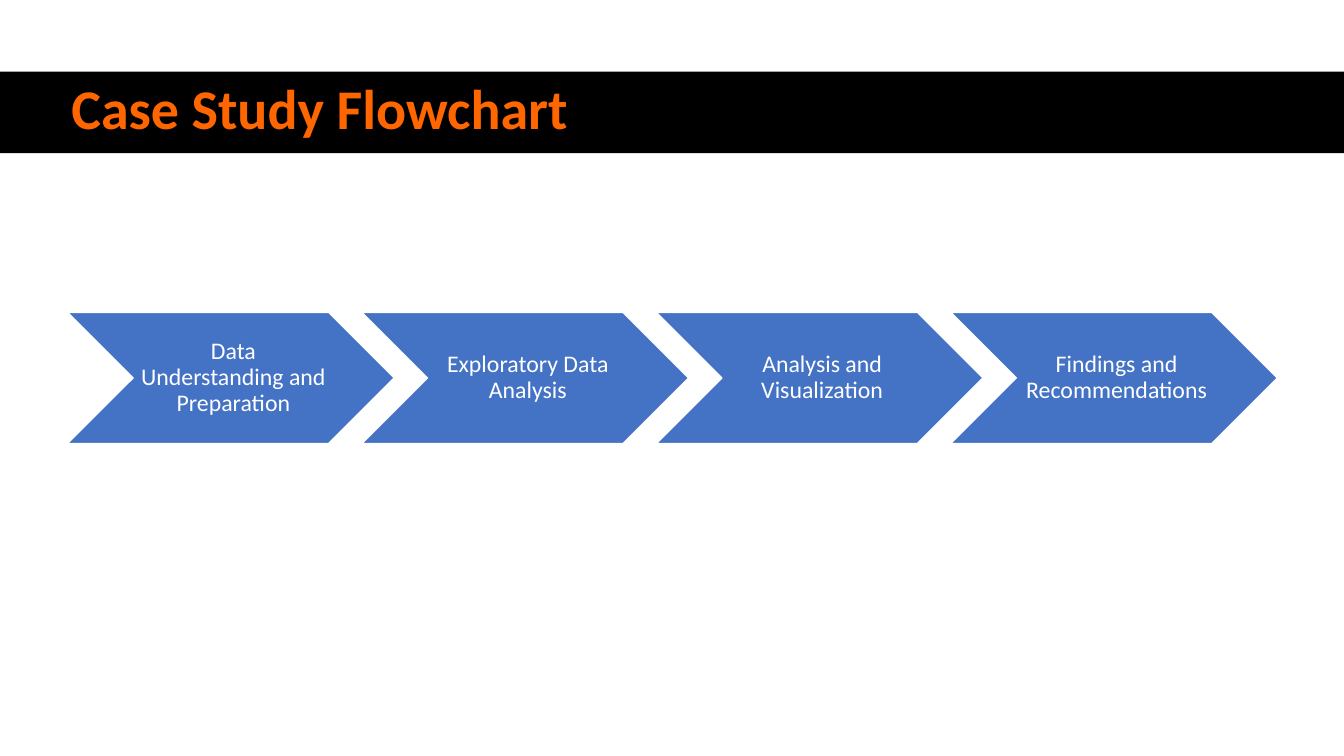
from pptx import Presentation
from pptx.dml.color import RGBColor
from pptx.enum.shapes import MSO_SHAPE
from pptx.enum.text import MSO_ANCHOR, PP_ALIGN
from pptx.util import Inches, Pt

RECT, CHEVRON = MSO_SHAPE.RECTANGLE, MSO_SHAPE.CHEVRON
MIDDLE = MSO_ANCHOR.MIDDLE
LEFT, CENTER = PP_ALIGN.LEFT, PP_ALIGN.CENTER

BLACK = RGBColor(0x00, 0x00, 0x00)
WHITE = RGBColor(0xFF, 0xFF, 0xFF)
ORANGE = RGBColor(0xFF, 0x66, 0x00)
BLUE = RGBColor(0x44, 0x72, 0xC4)

STEPS = [
    "Data Understanding and Preparation",
    "Exploratory Data Analysis",
    "Analysis and Visualization",
    "Findings and Recommendations",
]
STEP_LEFT, STEP_TOP, STEP_PITCH = 0.67, 3.1, 2.92
STEP_WIDTH, STEP_HEIGHT = 3.24, 1.3


def write(tf, text, size, color, bold=False, align=LEFT,
          insets=(0.1, 0.05, 0.1, 0.05), font="Calibri"):
    tf.word_wrap = True
    tf.vertical_anchor = MIDDLE
    tf.margin_left, tf.margin_top, tf.margin_right, tf.margin_bottom = map(Inches, insets)
    p = tf.paragraphs[0]
    p.alignment = align
    p.line_spacing = 0.9
    r = p.add_run()
    r.text = text
    r.font.name = font
    r.font.size = Pt(size)
    r.font.bold = bold
    r.font.color.rgb = color


class FlowSlide:
    def __init__(self, prs):
        self.slide = prs.slides.add_slide(prs.slide_layouts[6])

    def shape(self, kind, x, y, w, h, fill, line=None):
        sp = self.slide.shapes.add_shape(kind, Inches(x), Inches(y), Inches(w), Inches(h))
        sp.shadow.inherit = False
        sp.fill.solid()
        sp.fill.fore_color.rgb = fill
        if line is None:
            sp.line.fill.background()
        else:
            sp.line.color.rgb = line
            sp.line.width = Pt(1)
        return sp

    def title(self, text, x, y, w, h):
        sp = self.slide.shapes.add_textbox(Inches(x), Inches(y), Inches(w), Inches(h))
        write(sp.text_frame, text, 40, ORANGE, bold=True)

    def step(self, text, x):
        sp = self.shape(CHEVRON, x, STEP_TOP, STEP_WIDTH, STEP_HEIGHT, BLUE, WHITE)
        write(sp.text_frame, text, 17, WHITE, align=CENTER,
              insets=(0.07, 0.02, 0.02, 0.02))


def main():
    prs = Presentation()
    prs.slide_width, prs.slide_height = Inches(13.33), Inches(7.5)
    s = FlowSlide(prs)
    s.shape(RECT, 0, 0.71, 13.33, 0.81, BLACK)
    s.title("Case Study Flowchart", 0.61, 0.7, 12.26, 0.81)
    for i, step in enumerate(STEPS):
        s.step(step, STEP_LEFT + i * STEP_PITCH)
    prs.save("out.pptx")


if __name__ == "__main__":
    main()
